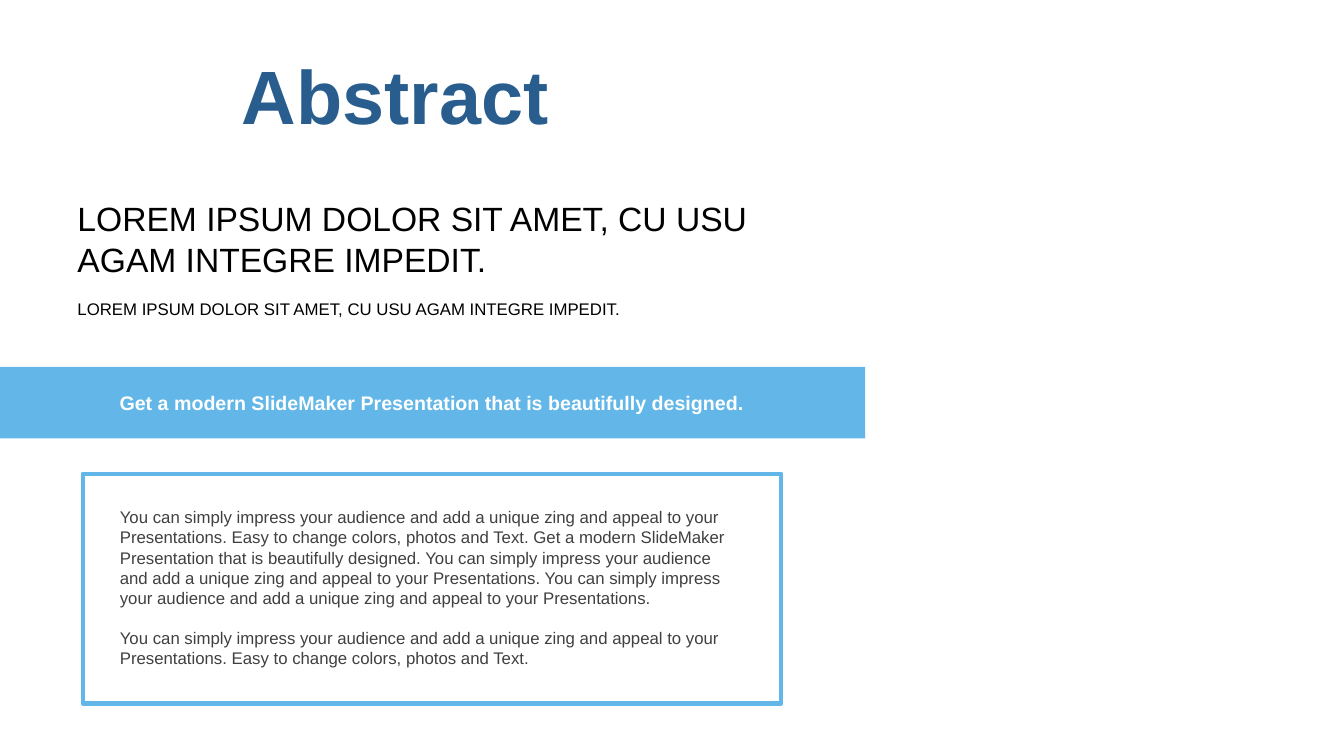
from pptx import Presentation
from pptx.dml.color import RGBColor
from pptx.enum.shapes import MSO_SHAPE
from pptx.enum.text import MSO_ANCHOR, MSO_AUTO_SIZE, PP_ALIGN
from pptx.util import Inches, Pt

NAVY = RGBColor(0x28, 0x5D, 0x8D)
SKY = RGBColor(0x62, 0xB7, 0xE8)
GRAY = RGBColor(0x40, 0x40, 0x40)
BLACK = RGBColor(0, 0, 0)
WHITE = RGBColor(255, 255, 255)

TITLE = "Abstract"
LOREM = "LOREM IPSUM DOLOR SIT AMET, CU USU AGAM INTEGRE IMPEDIT."
SLOGAN = "Get a modern SlideMaker Presentation that is beautifully designed."
IMPRESS = ("You can simply impress your audience and add a unique zing "
           "and appeal to your Presentations.")
EASY = "Easy to change colors, photos and Text."
BODY = [f"{IMPRESS} {EASY} {SLOGAN} {IMPRESS} {IMPRESS}", f"{IMPRESS} {EASY}"]

TITLE_AREA = (0.56, 0.6, 6.72, 0.78)
BANNER_AREA = (0, 3.64, 8.58, 0.71)
FRAME_AREA = (0.82, 4.7, 6.93, 2.28)

TEXTS = [
    (BODY, (1.09, 4.98, 6.39, 1.72), 12, GRAY, False, PP_ALIGN.LEFT, MSO_ANCHOR.TOP),
    ([SLOGAN], (0.82, 3.83, 6.93, 0.34), 14, WHITE, True, PP_ALIGN.CENTER, MSO_ANCHOR.TOP),
    ([LOREM], (0.67, 2.91, 7.09, 0.3), 12, BLACK, False, PP_ALIGN.LEFT, MSO_ANCHOR.MIDDLE),
    ([LOREM], (0.67, 1.91, 7.09, 0.91), 24, BLACK, False, PP_ALIGN.LEFT, MSO_ANCHOR.MIDDLE),
]


def write(frame, lines, size, color, bold, align, anchor):
    frame.word_wrap = True
    frame.auto_size = MSO_AUTO_SIZE.NONE
    frame.vertical_anchor = anchor
    for index, line in enumerate(lines):
        paragraph = frame.add_paragraph() if index else frame.paragraphs[0]
        paragraph.text = line
        paragraph.alignment = align
        paragraph.space_before = Pt(14 if index else 0)
        paragraph.font.name = "Arial"
        paragraph.font.size = Pt(size)
        paragraph.font.bold = bold
        paragraph.font.color.rgb = color


def add_rectangle(slide, area):
    rectangle = slide.shapes.add_shape(MSO_SHAPE.RECTANGLE, *map(Inches, area))
    rectangle.shadow.inherit = False
    return rectangle


def main():
    deck = Presentation()
    deck.slide_width, deck.slide_height = Inches(13.33), Inches(7.5)
    slide = deck.slides.add_slide(deck.slide_layouts[5])

    title = slide.shapes.title
    title.left, title.top, title.width, title.height = map(Inches, TITLE_AREA)
    write(title.text_frame, [TITLE], 54, NAVY, True, PP_ALIGN.CENTER, MSO_ANCHOR.MIDDLE)
    title.text_frame.paragraphs[0].line_spacing = 0.9

    banner = add_rectangle(slide, BANNER_AREA)
    banner.fill.solid()
    banner.fill.fore_color.rgb = SKY
    banner.line.fill.background()

    frame = add_rectangle(slide, FRAME_AREA)
    frame.fill.background()
    frame.line.color.rgb = SKY
    frame.line.width = Pt(3)

    for lines, area, *style in TEXTS:
        box = slide.shapes.add_textbox(*map(Inches, area))
        write(box.text_frame, lines, *style)

    deck.save("out.pptx")


if __name__ == "__main__":
    main()
